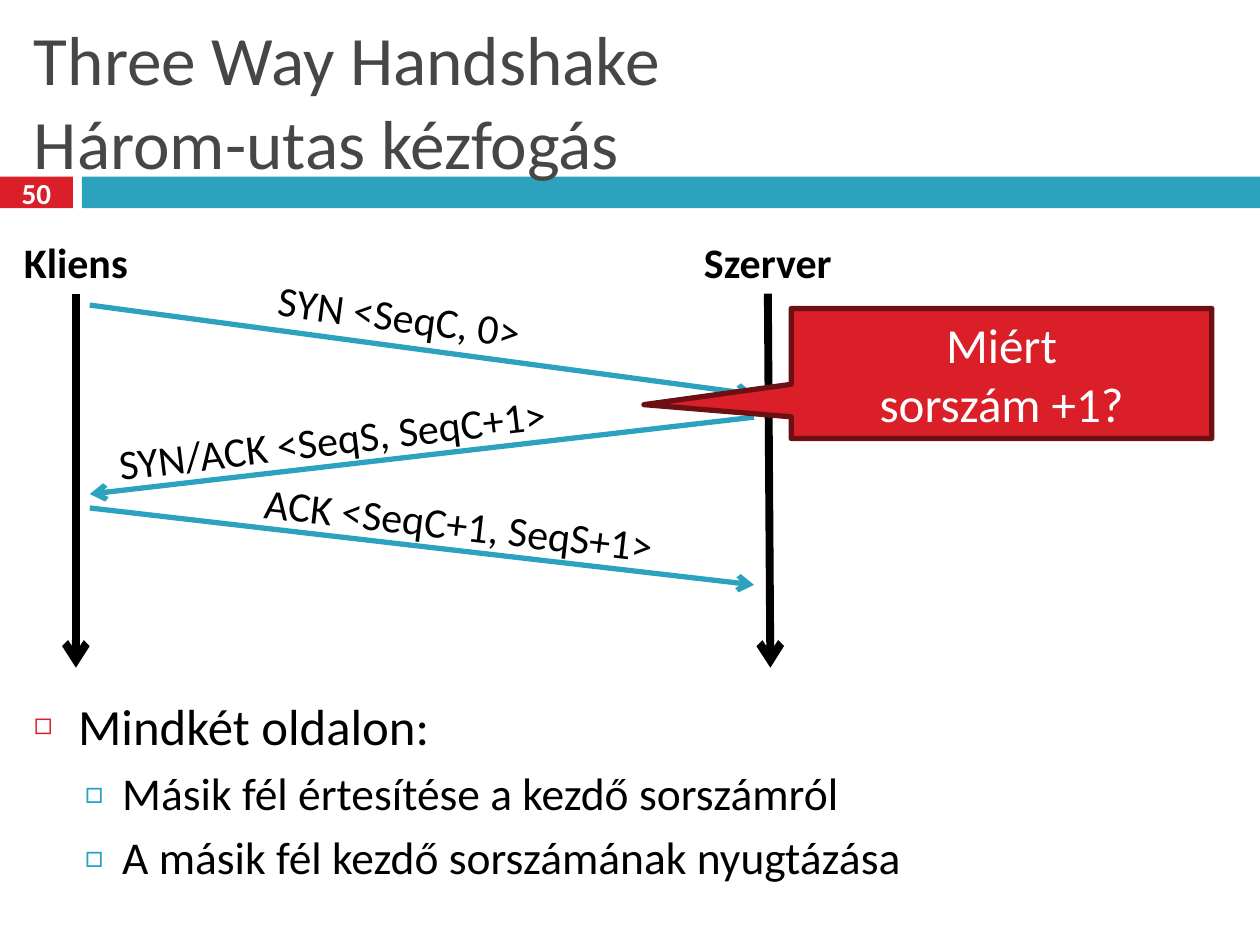
from lxml import etree
from pptx import Presentation
from pptx.dml.color import RGBColor
from pptx.enum.shapes import MSO_CONNECTOR, MSO_SHAPE
from pptx.enum.text import MSO_ANCHOR, MSO_AUTO_SIZE, PP_ALIGN
from pptx.oxml.ns import qn
from pptx.util import Cm, Pt

STRAIGHT = MSO_CONNECTOR.STRAIGHT
RECT, CALLOUT = MSO_SHAPE.RECTANGLE, MSO_SHAPE.RECTANGULAR_CALLOUT
MIDDLE, TOP = MSO_ANCHOR.MIDDLE, MSO_ANCHOR.TOP
LEFT, CENTER = PP_ALIGN.LEFT, PP_ALIGN.CENTER
NO_AUTOFIT = MSO_AUTO_SIZE.NONE
FONT = "Calibri"
COLORS = {"red": "DA1F28", "teal": "2DA2BF", "dark_red": "6D1014",
          "title": "464646", "black": "000000", "white": "FFFFFF"}


def rgb(name):
    return RGBColor.from_string(COLORS[name])


def place(sp, x, y, w, h):
    sp.left, sp.top, sp.width, sp.height = Cm(x), Cm(y), Cm(w), Cm(h)


def add_run(p, text, size, color, bold=False):
    r = p.add_run()
    r.text = text
    r.font.name, r.font.size, r.font.bold = FONT, Pt(size), bold
    r.font.color.rgb = rgb(color)


def add_block(s, kind, x, y, w, h, fill, line=None):
    sp = s.shapes.add_shape(kind, Cm(x), Cm(y), Cm(w), Cm(h))
    sp.shadow.inherit = False
    sp.fill.solid()
    sp.fill.fore_color.rgb = rgb(fill)
    if line:
        sp.line.color.rgb = rgb(line)
        sp.line.width = Pt(3)
    else:
        sp.line.fill.background()
    return sp


def add_label(s, text, x, y, w, align=LEFT, bold=False, rotation=0):
    sp = s.shapes.add_textbox(Cm(x), Cm(y), Cm(w), Cm(1.27))
    sp.rotation = rotation
    sp.text_frame.word_wrap = True
    p = sp.text_frame.paragraphs[0]
    p.alignment = align
    add_run(p, text, 24, "black", bold)


def add_arrow(s, x1, y1, x2, y2, color, width):
    c = s.shapes.add_connector(STRAIGHT, Cm(x1), Cm(y1), Cm(x2), Cm(y2))
    c.line.color.rgb = rgb(color)
    c.line.width = Pt(width)
    etree.SubElement(c.line._get_or_add_ln(), qn("a:tailEnd"), type="arrow")
    etree.SubElement(c._element.spPr, qn("a:effectLst"))


def add_bullet(p, char, color, size, margin, indent):
    pPr = p._p.get_or_add_pPr()
    pPr.set("marL", str(Cm(margin)))
    pPr.set("indent", str(Cm(indent)))
    clr = etree.SubElement(pPr, qn("a:buClr"))
    etree.SubElement(clr, qn("a:srgbClr"), val=COLORS[color])
    etree.SubElement(pPr, qn("a:buSzPct"), val=str(size * 1000))
    etree.SubElement(pPr, qn("a:buFont"), typeface=FONT)
    etree.SubElement(pPr, qn("a:buChar"), char=char)


def add_band(s, number, x, y, w, h):
    """Red page number box followed by a teal bar."""
    num_w, bar_x = 1.47, 1.65
    sp = add_block(s, RECT, x, y, num_w, h, "red")
    add_block(s, RECT, x + bar_x, y, w - bar_x, h, "teal")
    tf = sp.text_frame
    tf.margin_left = tf.margin_right = tf.margin_top = tf.margin_bottom = 0
    tf.vertical_anchor = MIDDLE
    tf.paragraphs[0].alignment = CENTER
    add_run(tf.paragraphs[0], number, 16.6, "white", True)


def fill_title(s, lines, x, y, w, h):
    sp = s.shapes.title
    place(sp, x, y, w, h)
    sp.element.getparent().append(sp.element)  # in front of the band
    tf = sp.text_frame
    tf.auto_size, tf.vertical_anchor = NO_AUTOFIT, MIDDLE
    p = tf.paragraphs[0]
    p.alignment = LEFT
    for i, line in enumerate(lines):
        if i:
            p.add_line_break()
        add_run(p, line, 39.6, "title")


def fill_body(s, items, x, y, w, h):
    sp = s.placeholders[1]
    place(sp, x, y, w, h)
    tf = sp.text_frame
    tf.auto_size, tf.vertical_anchor = NO_AUTOFIT, TOP
    for i, (level, text) in enumerate(items):
        p = tf.add_paragraph() if i else tf.paragraphs[0]
        p.level = level
        p.space_before = Pt(5.5 if i else 0)
        if level:
            add_bullet(p, "□", "teal", 70, 1.78, -0.76)
        else:
            add_bullet(p, "◻", "red", 60, 0.89, -0.89)
        add_run(p, text, 26 if level else 29, "black")


def add_handshake(s, x, y, w, h):
    """Two lifelines with the three messages running between them."""
    lifelines = [("Kliens", x, 0, 2.9), ("Szerver", x + w, 0.05, 3.6)]
    for name, line_x, drift, name_w in lifelines:
        add_arrow(s, line_x, y, line_x + drift, y + h, "black", 4.5)
        add_label(s, name, line_x - name_w / 2, y - 1.27, name_w, CENTER, True)

    gap = 0.28
    client, server = x + gap, x + w - gap
    messages = [
        ("SYN <SeqC, 0>", client, 0.23, server, 2.03, 3.81, -0.1, 6.83, 7.6),
        ("SYN/ACK <SeqS, SeqC+1>", server, 2.49, client, 4.04,
         0.58, 2.16, 11.18, -6.9),
        ("ACK <SeqC+1, SeqS+1>", client, 4.32, server, 5.87,
         3.53, 4.11, 10.16, 6.6),
    ]
    for text, x1, y1, x2, y2, text_x, text_y, text_w, angle in messages:
        add_arrow(s, x1, y + y1, x2, y + y2, "teal", 3)
        add_label(s, text, x + text_x, y + text_y, text_w, rotation=angle)


def add_question(s, lines, x, y, w, h):
    sp = add_block(s, CALLOUT, x, y, w, h, "red", "dark_red")
    sp.adjustments[0], sp.adjustments[1] = -0.85, 0.24
    tf = sp.text_frame
    tf.word_wrap, tf.vertical_anchor = True, MIDDLE
    for i, line in enumerate(lines):
        p = tf.add_paragraph() if i else tf.paragraphs[0]
        p.alignment = CENTER
        add_run(p, line, 28, "white")


def main():
    prs = Presentation()
    prs.slide_width, prs.slide_height = Cm(25.4), Cm(19.05)
    s = prs.slides.add_slide(prs.slide_layouts[1])
    add_band(s, "50", 0, 3.56, 25.4, 0.64)
    fill_title(s, ["Three Way Handshake", "Három-utas kézfogás"],
               0.43, 0.64, 24.56, 2.74)
    fill_body(s, [(0, "Mindkét oldalon:"),
                  (1, "Másik fél értesítése a kezdő sorszámról"),
                  (1, "A másik fél kezdő sorszámának nyugtázása")],
              0.43, 13.87, 24.56, 4.78)
    add_handshake(s, 1.53, 5.92, 13.95, 7.54)
    add_question(s, ["Miért", "sorszám +1?"], 15.95, 6.22, 8.48, 2.62)
    prs.save("out.pptx")


if __name__ == "__main__":
    main()
